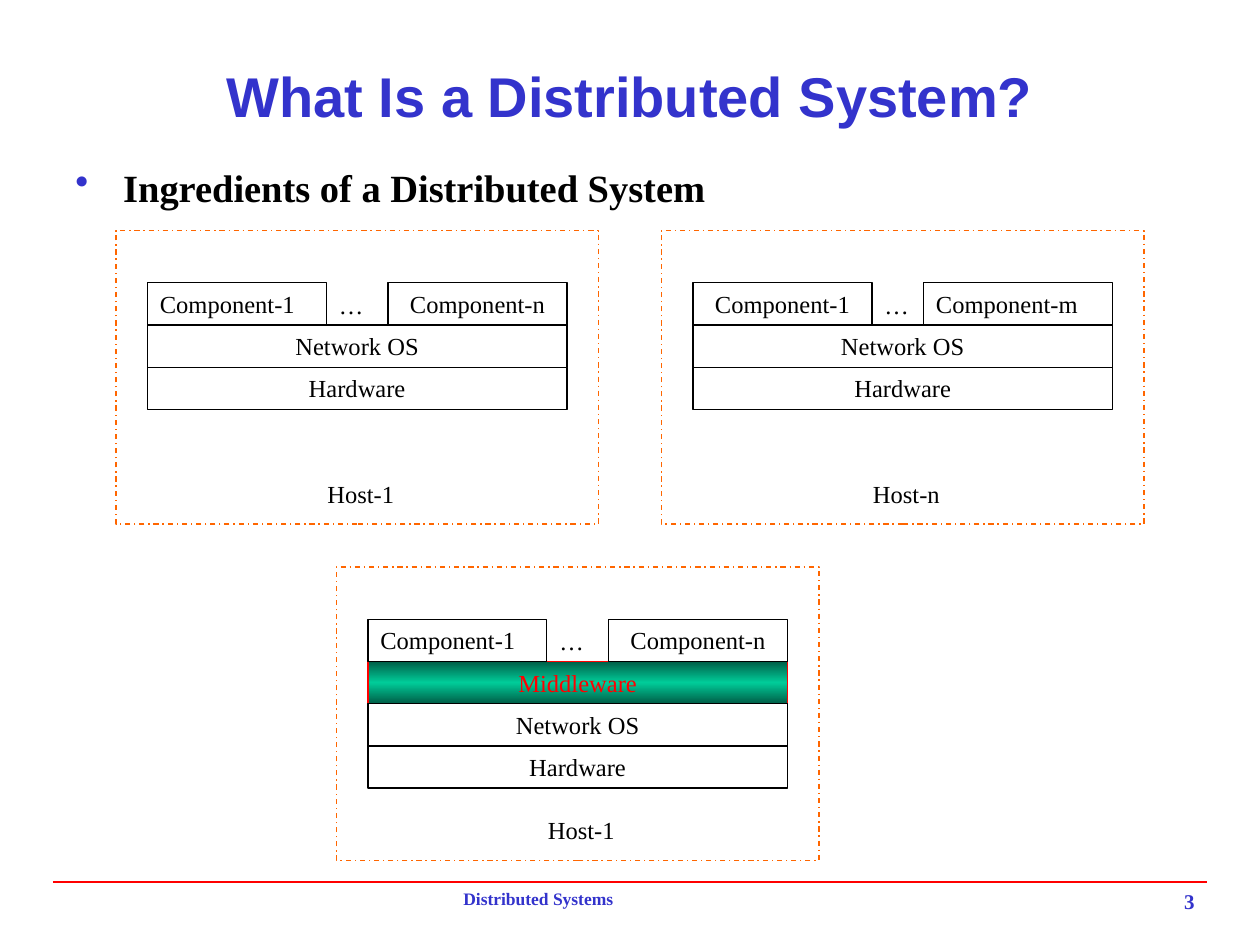
import copy
from dataclasses import dataclass

import lxml.etree
import pptx
import pptx.dml.color
import pptx.enum.dml
import pptx.enum.shapes
import pptx.enum.text
import pptx.oxml.ns
import pptx.util

Inches = pptx.util.Inches
Align = pptx.enum.text.PP_ALIGN
Anchor = pptx.enum.text.MSO_ANCHOR
Fit = pptx.enum.text.MSO_AUTO_SIZE
qn = pptx.oxml.ns.qn

COLORS = {
    "ink": "000000",
    "blue": "3333CC",
    "red": "FF0000",
    "frame": "FF6600",
    "dark": "005E47",
    "green": "00CC99",
}
SERIF = "Times New Roman"
ROW = 0.335


@dataclass
class Style:
    size: float = 14
    color: str = "ink"
    bold: bool = False
    font: str = SERIF
    align: Align = Align.LEFT
    anchor: Anchor = Anchor.TOP
    fit: Fit = Fit.NONE


@dataclass
class Part:
    text: str
    width: float = 1.42
    align: Align = Align.CENTER


@dataclass
class Host:
    left: float
    top: float
    name: str
    width: float
    first: Part
    last: Part
    rows: tuple


LABEL = Style(fit=Fit.SHAPE_TO_FIT_TEXT)
HOSTS = [
    Host(0.92, 1.83, "Host-1", 0.92,
         Part("Component-1", align=Align.LEFT), Part("Component-n"),
         ("Network OS", "Hardware")),
    Host(5.25, 1.83, "Host-n", 0.75,
         Part("Component-1"), Part("Component-m", 1.5, Align.LEFT),
         ("Network OS", "Hardware")),
    Host(2.67, 4.5, "Host-1", 0.92,
         Part("Component-1", align=Align.LEFT), Part("Component-n"),
         ("Middleware", "Network OS", "Hardware")),
]


def rgb(name: str):
    return pptx.dml.color.RGBColor.from_string(COLORS[name])


def write(shape, text: str, style: Style) -> None:
    frame = shape.text_frame
    frame.text = text
    frame.word_wrap = True
    frame.auto_size = style.fit
    frame.vertical_anchor = style.anchor
    para = frame.paragraphs[0]
    para.alignment = style.align
    font = para.runs[0].font
    font.name = style.font
    font.size = pptx.util.Pt(style.size)
    font.bold = style.bold
    font.color.rgb = rgb(style.color)


def label(slide, text: str, left: float, top: float, width: float,
          height: float, style: Style = LABEL):
    box = slide.shapes.add_textbox(
        Inches(left), Inches(top), Inches(width), Inches(height))
    write(box, text, style)
    return box


def rect(slide, left: float, top: float, width: float, height: float,
         color: str = "ink"):
    shape = slide.shapes.add_shape(
        pptx.enum.shapes.MSO_SHAPE.RECTANGLE,
        Inches(left), Inches(top), Inches(width), Inches(height))
    shape.shadow.inherit = False
    shape.fill.background()
    shape.line.color.rgb = rgb(color)
    shape.line.width = pptx.util.Pt(0.75)
    return shape


def cell(slide, part: Part, left: float, top: float) -> None:
    special = part.text == "Middleware"
    color = "red" if special else "ink"
    shape = rect(slide, left, top, part.width, ROW, color)
    if special:
        shade(shape)
    write(shape, part.text, Style(
        color=color, align=part.align, fit=Fit.SHAPE_TO_FIT_TEXT))


def shade(shape) -> None:
    fill = shape.fill
    fill.gradient()
    fill.gradient_angle = 90
    stops = shape._element.spPr.find(qn("a:gradFill")).find(qn("a:gsLst"))
    stops.append(copy.deepcopy(stops[-1]))
    for stop, place, color in zip(
            fill.gradient_stops, (0, 0.5, 1), ("dark", "green", "dark")):
        stop.position = place
        stop.color.rgb = rgb(color)


def draw(slide, host: Host) -> None:
    frame = rect(slide, host.left, host.top, 3.83, 2.33, "frame")
    frame.line.dash_style = pptx.enum.dml.MSO_LINE.DASH_DOT
    left, top, width = host.left + 0.25, host.top + 0.75, 3.33
    for step, text in enumerate(host.rows):
        cell(slide, Part(text, width), left, top + step * ROW)
    cell(slide, host.first, left, top - ROW)
    cell(slide, host.last, left + width - host.last.width, top - ROW)
    label(slide, "…", left + host.first.width, host.top + 0.42, 0.58, ROW)
    label(slide, host.name, host.left + 1.58, host.top + 1.92,
          host.width, ROW)


def bullet(box) -> None:
    props = box.text_frame.paragraphs[0]._p.get_or_add_pPr()
    props.set("marL", str(Inches(0.38)))
    props.set("indent", str(Inches(-0.38)))
    tint = lxml.etree.SubElement(props, qn("a:buClr"))
    lxml.etree.SubElement(tint, qn("a:srgbClr"), val=COLORS["blue"])
    lxml.etree.SubElement(props, qn("a:buChar"), char="•")


def rule(slide) -> None:
    line = slide.shapes.add_connector(
        pptx.enum.shapes.MSO_CONNECTOR.STRAIGHT,
        Inches(0.42), Inches(7), Inches(9.58), Inches(7))
    line.line.color.rgb = rgb("red")
    line.line.width = pptx.util.Pt(1)
    lxml.etree.SubElement(line._element.spPr, qn("a:effectLst"))


def main() -> None:
    deck = pptx.Presentation()
    deck.slide_width, deck.slide_height = Inches(10), Inches(7.5)
    slide = deck.slides.add_slide(deck.slide_layouts[6])
    rule(slide)
    label(slide, "Distributed Systems", 3.58, 7, 3.17, 0.33,
          Style(10, "blue", True))
    label(slide, "3", 7.5, 7, 2.08, 0.33,
          Style(12, "blue", True, align=Align.RIGHT))
    label(slide, "What Is a Distributed System?", 0.5, 0.42, 9, 0.67,
          Style(32, "blue", True, "Arial", Align.CENTER, Anchor.MIDDLE))
    bullet(label(slide, "Ingredients of a Distributed System",
                 0.5, 1.25, 9, 5.42, Style(22, bold=True)))
    for host in HOSTS:
        draw(slide, host)
    deck.save("out.pptx")


if __name__ == "__main__":
    main()
